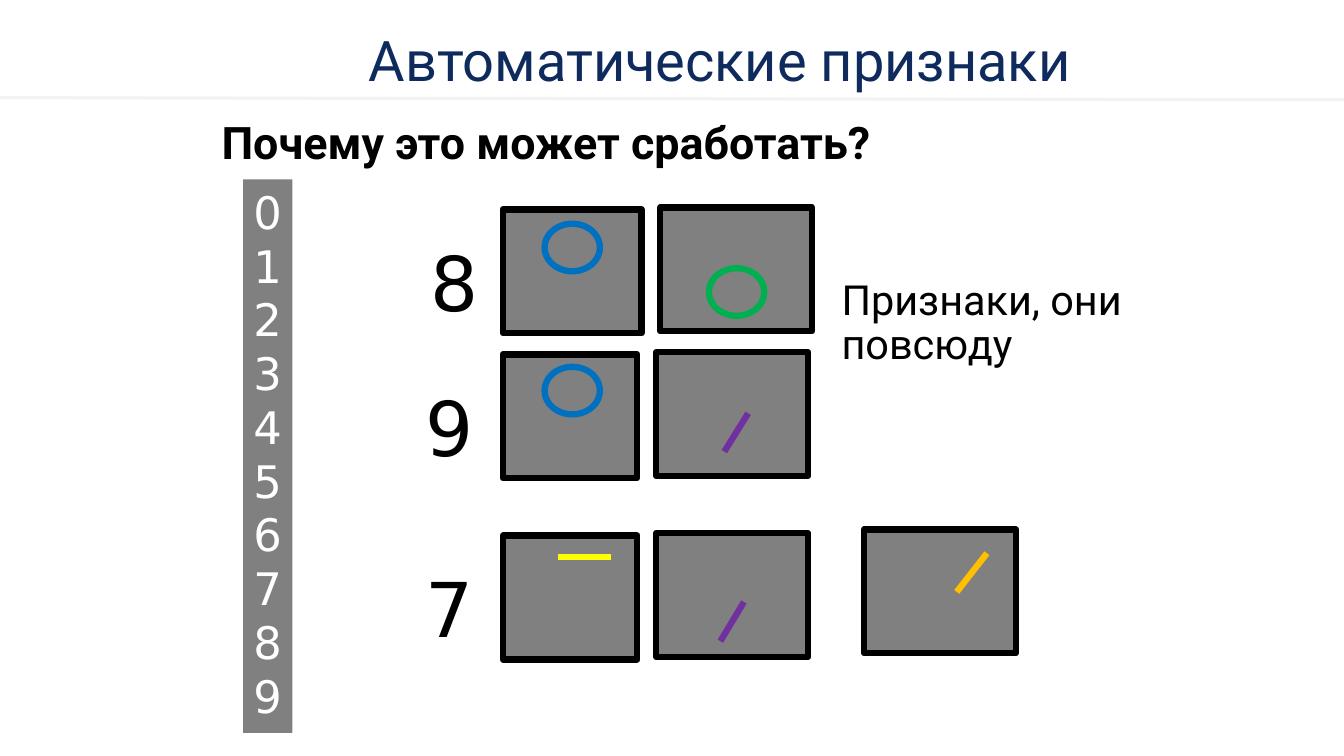
from lxml import etree
from pptx import Presentation
from pptx.dml.color import RGBColor
from pptx.enum.shapes import MSO_CONNECTOR, MSO_SHAPE
from pptx.enum.text import MSO_ANCHOR, PP_ALIGN
from pptx.oxml.ns import qn
from pptx.util import Pt

RECT, OVAL = MSO_SHAPE.RECTANGLE, MSO_SHAPE.OVAL
STRAIGHT = MSO_CONNECTOR.STRAIGHT
TOP, MIDDLE = MSO_ANCHOR.TOP, MSO_ANCHOR.MIDDLE
LEFT, CENTER = PP_ALIGN.LEFT, PP_ALIGN.CENTER

GREY, BLACK, WHITE, NAVY = "808080", "000000", "FFFFFF", "0F2B5E"
BLUE, GREEN, PURPLE = "0070C0", "00B050", "7030A0"
YELLOW, ORANGE, PALE = "FFFF00", "FFC000", "F2F2F2"

TEXT_FONT, DIGIT_FONT = "Roboto", "DejaVu Sans"
STROKE = 4.5
TILE_HEIGHT = 88.5
RING_WIDTH, RING_HEIGHT = 39.5, 34

# digit, digit position, tiles as (left, top, width)
DIGIT_ROWS = [
    ("8", (300, 165), [(359.2, 149.6, 99), (471.6, 148.2, 108.5)]),
    ("9", (296.6, 268.6), [(359.2, 253.2, 96), (468.8, 251.6, 108.5)]),
    ("7", (296.6, 398), [(359.2, 382.6, 96), (468.8, 380.8, 108.5),
                         (617.2, 378.2, 108.5)]),
]
STROKES = [
    ((534.4, 295.2), (517.4, 322.6), PURPLE),
    ((531.4, 430), (514.6, 458), PURPLE),
    ((436.4, 398), (398.4, 398), YELLOW),
    ((705, 395.2), (683.4, 422.8), ORANGE),
]
RINGS = [(389, 159.8, BLUE), (506.4, 191.6, GREEN), (389, 262, BLUE)]


def rgb(color):
    return RGBColor.from_string(color)


def write(s, lines, size, color, font=TEXT_FONT, align=LEFT, anchor=MIDDLE,
          spacing=None, bold=False, wrap=True):
    tf = s.text_frame
    tf.word_wrap = wrap
    tf.vertical_anchor = anchor
    for i, line in enumerate(lines):
        p = tf.paragraphs[0] if i == 0 else tf.add_paragraph()
        p.text = line
        p.alignment = align
        p.line_spacing = spacing
        p.font.name = font
        p.font.size = Pt(size)
        p.font.bold = bold
        p.font.color.rgb = rgb(color)


def write_digits(s, digits, size, color):
    write(s, digits, size, color, DIGIT_FONT, CENTER, TOP,
          spacing=Pt(1.2 * size), wrap=False)


def add_box(slide, left, top, width, height):
    return slide.shapes.add_textbox(Pt(left), Pt(top), Pt(width), Pt(height))


def add_figure(slide, kind, left, top, width, height, fill=None, line=None):
    s = slide.shapes.add_shape(kind, Pt(left), Pt(top), Pt(width), Pt(height))
    s.shadow.inherit = False
    if fill:
        s.fill.solid()
        s.fill.fore_color.rgb = rgb(fill)
    else:
        s.fill.background()
    if line:
        s.line.color.rgb = rgb(line)
        s.line.width = Pt(STROKE)
    else:
        s.line.fill.background()
    return s


def add_line(slide, start, end, color, width=STROKE):
    s = slide.shapes.add_connector(STRAIGHT, *map(Pt, start + end))
    s.line.color.rgb = rgb(color)
    s.line.width = Pt(width)
    etree.SubElement(s._element.spPr, qn("a:effectLst"))


def add_headings(slide):
    write(add_box(slide, 111.6, 31.7, 805, 21.6),
          ["Автоматические признаки"], 40, NAVY, align=CENTER)
    add_line(slide, (0, 69.8), (960, 71.3), PALE, 2.25)
    write(add_box(slide, 151.2, 70.6, 623.5, 65.5),
          ["Почему это может сработать?"], 32, BLACK, spacing=0.9, bold=True)


def main():
    prs = Presentation()
    prs.slide_width, prs.slide_height = Pt(960), Pt(540)
    slide = prs.slides.add_slide(prs.slide_layouts[6])

    add_headings(slide)
    column = add_figure(slide, RECT, 173.6, 128.2, 35.3, 395.3, GREY)
    write_digits(column, "0123456789", 32, WHITE)

    for digit, (left, top), tiles in DIGIT_ROWS:
        write_digits(add_box(slide, left, top, 49, 72.7), digit, 54, BLACK)
        for x, y, width in tiles:
            add_figure(slide, RECT, x, y, width, TILE_HEIGHT, GREY, BLACK)
    for start, end, color in STROKES:
        add_line(slide, start, end, color)
    for left, top, color in RINGS:
        add_figure(slide, OVAL, left, top, RING_WIDTH, RING_HEIGHT, line=color)

    write(add_box(slide, 594, 198.8, 334.8, 65.5),
          ["Признаки, они повсюду"], 29.6, BLACK, spacing=0.9)
    prs.save("out.pptx")


if __name__ == "__main__":
    main()
